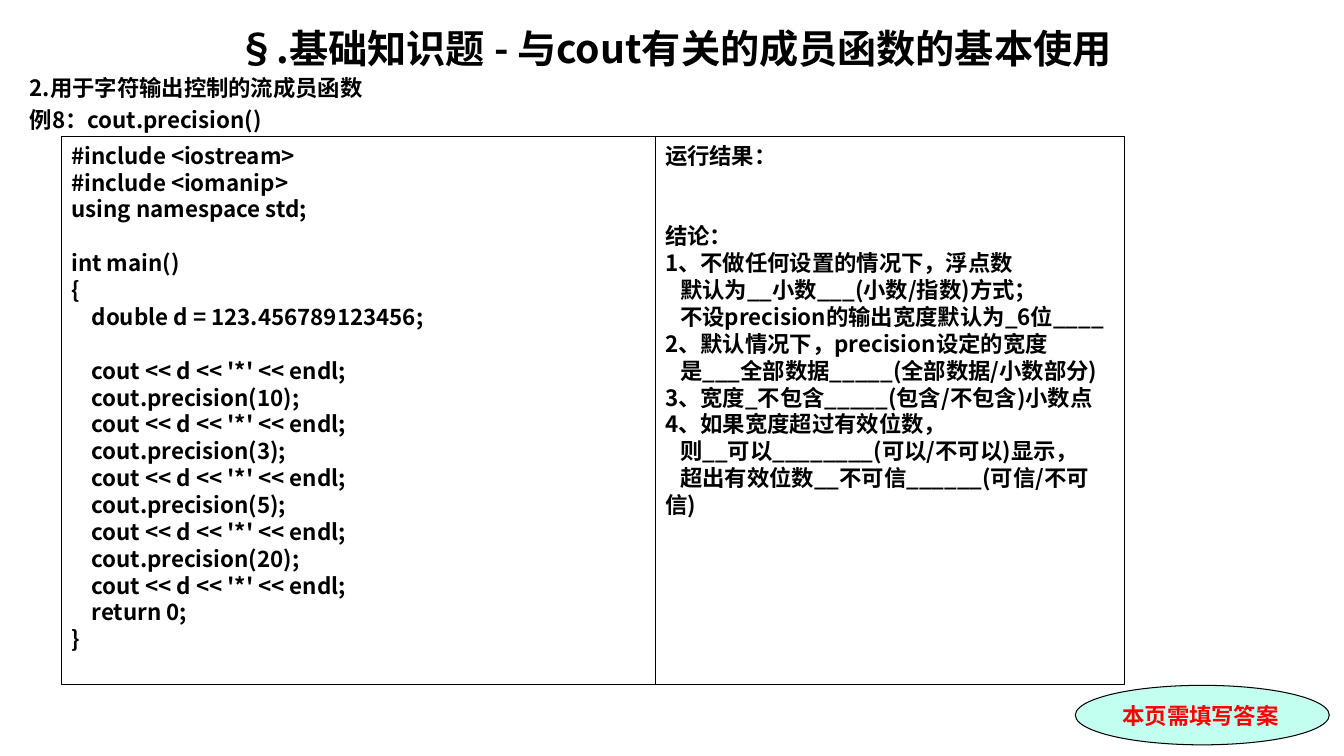
from pptx import Presentation
from pptx.dml.color import RGBColor
from pptx.enum.shapes import MSO_SHAPE
from pptx.enum.text import MSO_ANCHOR, MSO_AUTO_SIZE, PP_ALIGN
from pptx.oxml.ns import qn
from pptx.util import Cm, Pt

RECTANGLE, OVAL = MSO_SHAPE.RECTANGLE, MSO_SHAPE.OVAL
TOP, MIDDLE = MSO_ANCHOR.TOP, MSO_ANCHOR.MIDDLE
LEFT, CENTER = PP_ALIGN.LEFT, PP_ALIGN.CENTER
NO_AUTOFIT = MSO_AUTO_SIZE.NONE
TITLE_ONLY = 5

COLORS = {"text": "000000", "line": "000000", "badge": "C2FFF0", "alert": "FF0000"}
SANS, SERIF = "Noto Sans CJK SC", "Times New Roman"
LINE_HEIGHT = 19.2

TITLE = "§.基础知识题 - 与cout有关的成员函数的基本使用"
HEADINGS = "2.用于字符输出控制的流成员函数\n例8：cout.precision()"
CODE = """#include <iostream>
#include <iomanip>
using namespace std;

int main()
{
    double d = 123.456789123456;

    cout << d << '*' << endl;
    cout.precision(10);
    cout << d << '*' << endl;
    cout.precision(3);
    cout << d << '*' << endl;
    cout.precision(5);
    cout << d << '*' << endl;
    cout.precision(20);
    cout << d << '*' << endl;
    return 0;
}"""
CONCLUSIONS = """运行结果：


结论：
1、不做任何设置的情况下，浮点数
   默认为__小数___(小数/指数)方式；
   不设precision的输出宽度默认为_6位____
2、默认情况下，precision设定的宽度
   是___全部数据_____(全部数据/小数部分)
3、宽度_不包含_____(包含/不包含)小数点
4、如果宽度超过有效位数，
   则__可以________(可以/不可以)显示，
   超出有效位数__不可信______(可信/不可信)"""


def write(shape, text, size=16, font=SANS, color="text", align=LEFT, anchor=TOP,
          line_height=LINE_HEIGHT, gap=0, is_code=False):
    """Write one paragraph per line; empty lines become space before the next."""
    frame = shape.text_frame
    frame.word_wrap = True
    frame.auto_size = NO_AUTOFIT
    frame.vertical_anchor = anchor
    paragraph, empty_lines = None, 0
    for line in text.split("\n"):
        if not line:
            empty_lines += 1
            continue
        before = 0 if paragraph is None else gap + empty_lines * LINE_HEIGHT
        paragraph = frame.paragraphs[0] if paragraph is None else frame.add_paragraph()
        empty_lines = 0
        content = line if is_code else line.lstrip()
        if content != line:
            properties = paragraph._p.get_or_add_pPr()
            properties.set("marL", "0")
            properties.set("indent", str(Cm(0.38)))
        paragraph.alignment = align
        paragraph.space_before = Pt(before)
        if line_height:
            paragraph.line_spacing = Pt(line_height)
        run = paragraph.add_run()
        run.text = content
        run.font.size, run.font.bold, run.font.name = Pt(size), True, font
        run.font.color.rgb = RGBColor.from_string(COLORS[color])
        east_asian = run._r.get_or_add_rPr().makeelement(qn("a:ea"), {"typeface": SANS})
        run.font._element.find(qn("a:latin")).addnext(east_asian)


def add_outlined(slide, kind, box, fill=None):
    shape = slide.shapes.add_shape(kind, *box)
    shape.shadow.inherit = False
    if fill:
        shape.fill.solid()
        shape.fill.fore_color.rgb = RGBColor.from_string(COLORS[fill])
    else:
        shape.fill.background()
    shape.line.color.rgb = RGBColor.from_string(COLORS["line"])
    shape.line.width = Pt(0.75)
    return shape


def add_header(slide, left, top, width):
    title_height = Cm(1.5)
    title = slide.shapes.title
    title.left, title.top, title.width, title.height = left, top, width, title_height
    write(title, TITLE, size=28, align=CENTER, anchor=MIDDLE, line_height=None)
    headings = slide.shapes.add_textbox(left, top + Cm(1.3), width, Cm(1.7))
    write(headings, HEADINGS, gap=3.2)


def add_example(slide, left, top, width, height):
    """Place the program beside its results and conclusions."""
    code_width = Cm(14.96)
    program = add_outlined(slide, RECTANGLE, (left, top, code_width, height))
    write(program, CODE, is_code=True)
    results = add_outlined(slide, RECTANGLE,
                           (left + code_width, top, width - code_width, height))
    write(results, CONCLUSIONS)


def add_answer_badge(slide, left, top, width, height):
    badge = add_outlined(slide, OVAL, (left, top, width, height), fill="badge")
    write(badge, "本页需填写答案", font=SERIF, color="alert", anchor=MIDDLE)


def main():
    presentation = Presentation()
    presentation.slide_width, presentation.slide_height = Cm(33.87), Cm(19.05)
    slide = presentation.slides.add_slide(presentation.slide_layouts[TITLE_ONLY])
    add_header(slide, Cm(0.5), Cm(0.45), Cm(33))
    add_example(slide, Cm(1.55), Cm(3.45), Cm(26.8), Cm(13.8))
    add_answer_badge(slide, Cm(27.1), Cm(17.27), Cm(6.4), Cm(1.5))
    presentation.save("out.pptx")


if __name__ == "__main__":
    main()
